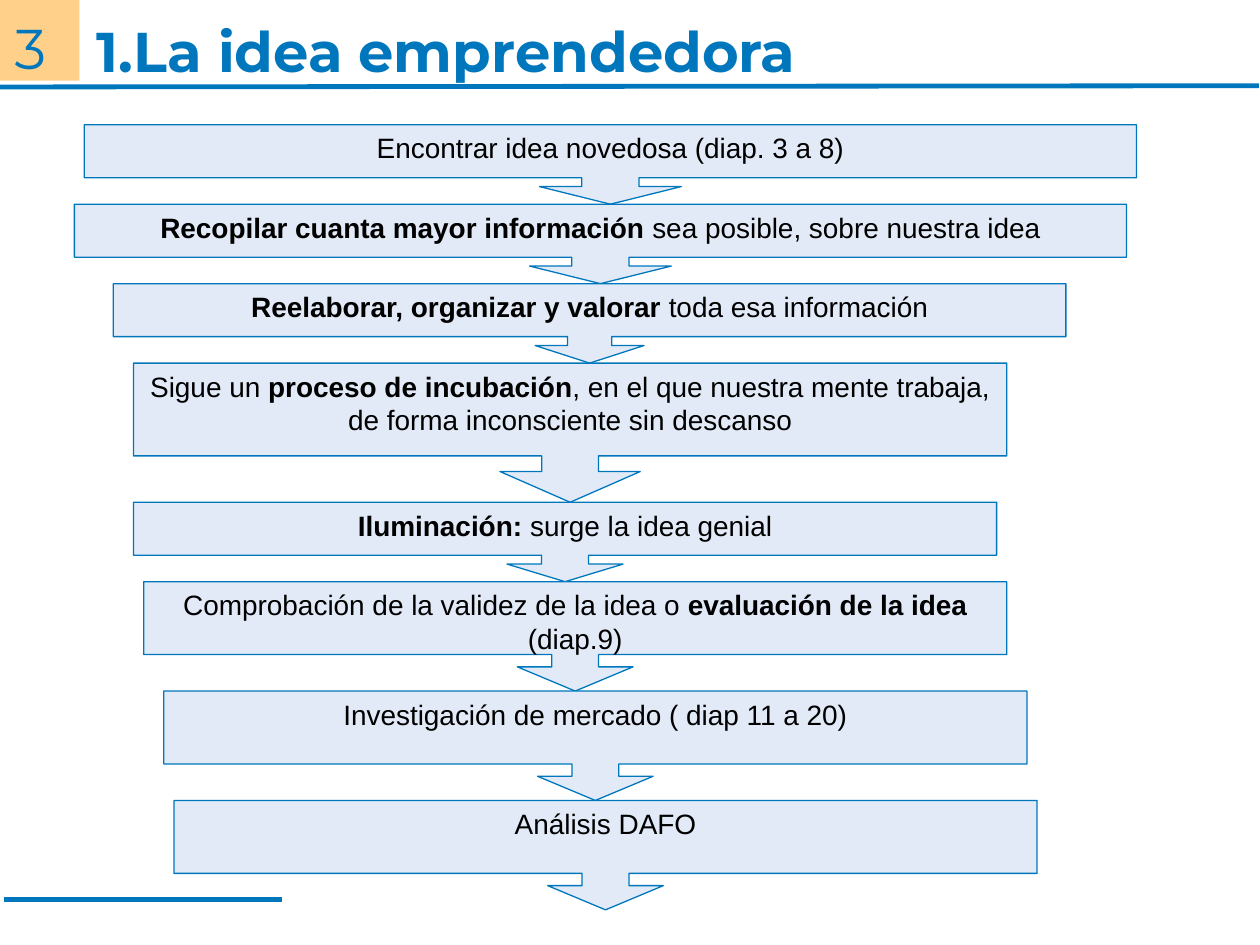
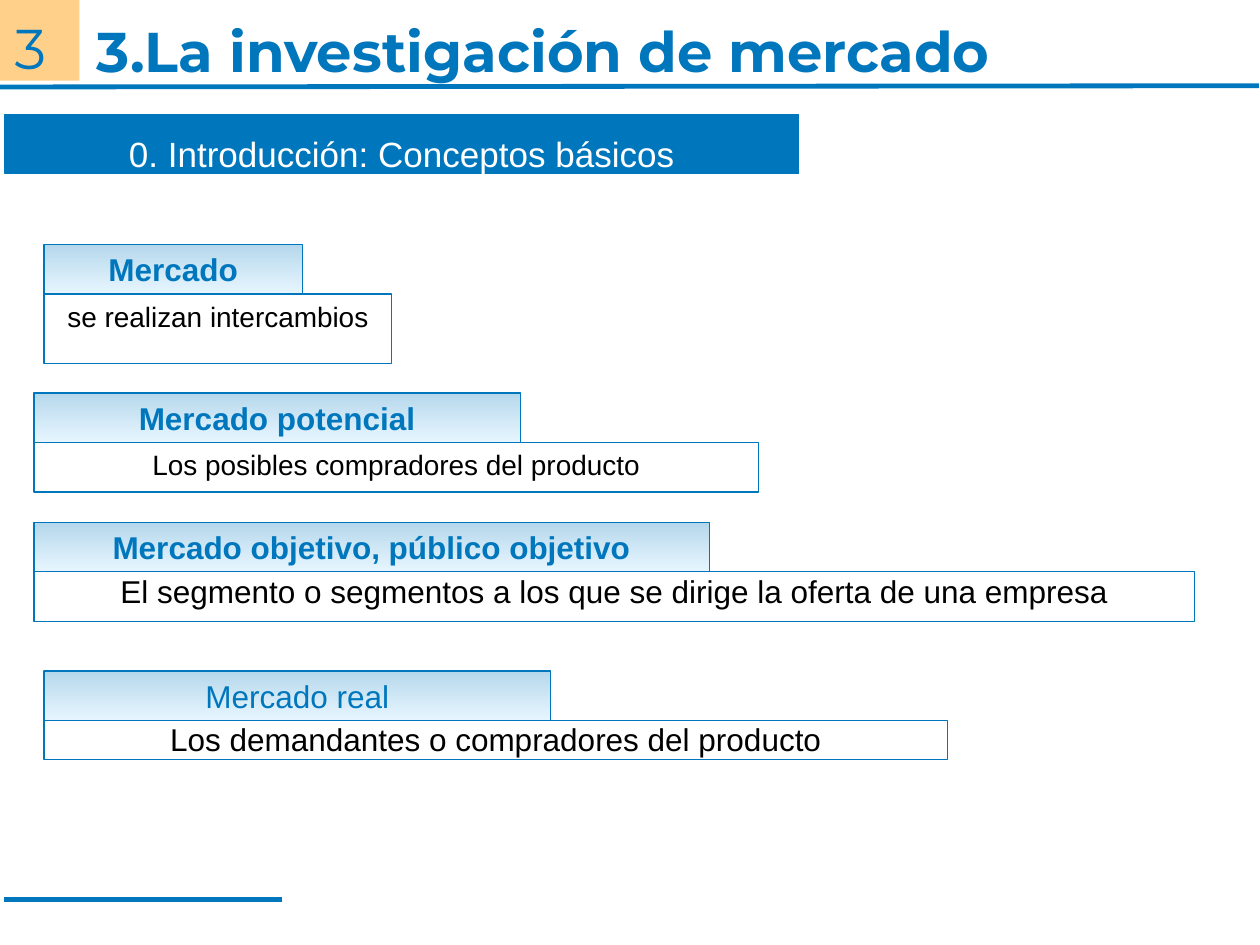
"""Build two slides on the business idea and market research."""
from lxml.etree import SubElement
from pptx import Presentation
from pptx.dml.color import RGBColor
from pptx.enum.shapes import MSO_CONNECTOR, MSO_SHAPE
from pptx.enum.text import MSO_ANCHOR, MSO_AUTO_SIZE, PP_ALIGN
from pptx.oxml.ns import qn
from pptx.util import Pt

BLUE = RGBColor(0x00, 0x77, 0xBD)
SKY = RGBColor(0xA1, 0xDB, 0xFF)
PALE = RGBColor(0xE2, 0xEA, 0xF7)
ORANGE = RGBColor(0xFF, 0x99, 0x00)
WHITE = RGBColor(0xFF, 0xFF, 0xFF)
BLACK = RGBColor(0x00, 0x00, 0x00)

BODY_FONT = "Arial"
TITLE_FONT = "Montserrat"
LABEL_HEIGHT = 28.3
HEAD_TO_SHAFT = 1.236

STEPS = [
    (48.2, 601.2, 45.4, 0.722, "Encontrar idea novedosa (diap. 3 a 8)"),
    (42.5, 601.2, 45.4, 0.722,
     "*Recopilar cuanta mayor información* sea posible, sobre nuestra idea"),
    (64.8, 544.3, 45.4, 0.555,
     "*Reelaborar, organizar y valorar* toda esa información"),
    (76.3, 499, 79.5, 0.408,
     "Sigue un *proceso de incubación*, en el que nuestra mente trabaja, "
     "de forma inconsciente sin descanso"),
    (76.3, 493.2, 45.4, 0.591, "*Iluminación:* surge la idea genial"),
    (82.1, 493.2, 62.5, 0.428,
     "Comprobación de la validez de la idea o *evaluación de la idea* (diap.9)"),
    (93.6, 493.2, 62.5, 0.428, "Investigación de mercado ( diap 11 a 20)"),
    (99.4, 493.2, 62.5, 0.428, "Análisis DAFO"),
]

CONCEPTS = [
    (25.2, 139.7, 147.6, "*Mercado*",
     198.7, 39.6, 16, 2.9, "se realizan intercambios"),
    (19.4, 224.6, 277.9, "*Mercado potencial*",
     414, 28.3, 16, 2.9, "Los posibles compradores del producto"),
    (19.4, 298.4, 385.9, "*Mercado objetivo, público objetivo*",
     663.1, 28.3, 18, 0,
     "El segmento o segmentos a los que se dirige la oferta de una empresa"),
    (25.2, 383.4, 289.4, "Mercado real",
     516.2, 22.3, 18, 0, "Los demandantes o compradores del producto"),
]


def add_box(slide, kind, left, top, width, height):
    """Add an unfilled shape with a thin blue outline."""
    sp = slide.shapes.add_shape(kind, Pt(left), Pt(top), Pt(width), Pt(height))
    sp.shadow.inherit = False
    sp.fill.background()
    sp.line.color.rgb = BLUE
    sp.line.width = Pt(0.75)
    return sp


def fill_solid(sp, color):
    """Fill a shape with one colour."""
    sp.fill.solid()
    sp.fill.fore_color.rgb = color


def set_fill_alpha(sp, *percents):
    """Set the opacity of each fill colour in turn."""
    fill = sp._element.spPr.find(qn("a:gradFill"))
    if fill is None:
        fill = sp._element.spPr.find(qn("a:solidFill"))
    for color, percent in zip(fill.iter(qn("a:srgbClr")), percents):
        SubElement(color, qn("a:alpha")).set("val", str(percent * 1000))


def style_font(font, name, size, color, bold=None):
    """Set the face, size, colour and weight of a font."""
    font.name = name
    font.size = Pt(size)
    font.color.rgb = color
    font.bold = bold


def set_text(sp, text, size, color, anchor=MSO_ANCHOR.TOP, inset_y=3.6):
    """Write centred text in which asterisks enclose bold words."""
    tf = sp.text_frame
    tf.word_wrap = True
    tf.vertical_anchor = anchor
    tf.margin_top = tf.margin_bottom = Pt(inset_y)
    p = tf.paragraphs[0]
    p.alignment = PP_ALIGN.CENTER
    style_font(p.font, BODY_FONT, size, color)
    for i, part in enumerate(text.split("*")):
        if part:
            r = p.add_run()
            r.text = part
            r.font.bold = i % 2 == 1
    return p


def add_rule(slide, x1, y1, x2, y2):
    """Add a thick blue line."""
    line = slide.shapes.add_connector(
        MSO_CONNECTOR.STRAIGHT, Pt(x1), Pt(y1), Pt(x2), Pt(y2))
    line.line.color.rgb = BLUE
    line.line.width = Pt(2.75)
    SubElement(line._element.spPr, qn("a:effectLst"))
    return line


def add_unit_badge(slide):
    """Add the orange square with the unit number."""
    sp = add_box(slide, MSO_SHAPE.RECTANGLE, 0, 0, 45.4, 46.1)
    fill_solid(sp, ORANGE)
    set_fill_alpha(sp, 46)
    sp.line.fill.background()
    tf = sp.text_frame
    tf.vertical_anchor = MSO_ANCHOR.TOP
    tf.margin_left = Pt(8.4)
    tf.margin_right = tf.margin_top = tf.margin_bottom = 0
    p = tf.paragraphs[0]
    p.text = "3"
    p.alignment = PP_ALIGN.LEFT
    p.line_spacing = 1.2
    style_font(p.font, TITLE_FONT, 32, BLUE)
    return sp


def move_frame_to_layout(slide):
    """Draw the shared rules and badge and hand them to the layout."""
    frame = [add_rule(slide, -0.7, 49.7, 719.3, 49),
             add_unit_badge(slide),
             add_rule(slide, 2.2, 514.1, 161.3, 514.1)]
    for sp in frame:
        slide.slide_layout.shapes._spTree.append(sp._element)


def set_title(slide, text):
    """Place and format the slide title."""
    title = slide.shapes.title
    title.left, title.top, title.width, title.height = (
        Pt(48.2), Pt(15.1), Pt(595.4), Pt(27.4))
    tf = title.text_frame
    tf.auto_size = MSO_AUTO_SIZE.NONE
    tf.vertical_anchor = MSO_ANCHOR.MIDDLE
    p = tf.paragraphs[0]
    p.text = text
    p.alignment = PP_ALIGN.LEFT
    style_font(p.font, TITLE_FONT, 32, BLUE, True)


def add_steps(slide, top):
    """Stack the callouts that lead from one step to the next."""
    for left, width, height, shaft, text in STEPS:
        sp = add_box(slide, MSO_SHAPE.DOWN_ARROW_CALLOUT,
                     left, top, width, height)
        fill_solid(sp, PALE)
        for i, value in enumerate((shaft, shaft * HEAD_TO_SHAFT, 0.221, 0.667)):
            sp.adjustments[i] = value
        set_text(sp, text, 16, BLACK)
        top += height


def add_section_band(slide, text):
    """Add the blue band that names the section."""
    sp = add_box(slide, MSO_SHAPE.RECTANGLE, 2.9, 65.5, 453.6, 33.8)
    fill_solid(sp, BLUE)
    p = set_text(sp, text, 20, WHITE, MSO_ANCHOR.MIDDLE)
    p.line_spacing = 1.45


def add_label(slide, left, top, width, text):
    """Add a gradient label for a concept."""
    sp = add_box(slide, MSO_SHAPE.FLOWCHART_PROCESS,
                 left, top, width, LABEL_HEIGHT)
    sp.fill.gradient()
    sp.fill.gradient_angle = 270
    for stop, color in zip(sp.fill.gradient_stops, (BLUE, SKY)):
        stop.color.rgb = color
    set_fill_alpha(sp, 30, 25)
    set_text(sp, text, 18, BLUE, MSO_ANCHOR.MIDDLE)


def add_definition(slide, left, top, width, height, size, inset_y, text):
    """Add the outlined box that explains a concept."""
    sp = add_box(slide, MSO_SHAPE.FLOWCHART_PROCESS, left, top, width, height)
    sp.text_frame.margin_left = sp.text_frame.margin_right = Pt(5.8)
    set_text(sp, text, size, BLACK, inset_y=inset_y)


def main():
    """Build and save the presentation."""
    prs = Presentation()
    prs.slide_width, prs.slide_height = Pt(720), Pt(540)
    layout = prs.slide_layouts[5]

    s = prs.slides.add_slide(layout)
    move_frame_to_layout(s)
    set_title(s, "1.La idea emprendedora")
    add_steps(s, 71.3)

    s = prs.slides.add_slide(layout)
    set_title(s, "3.La investigación de mercado")
    add_section_band(s, "0. Introducción: Conceptos básicos")
    for left, top, label_width, label, *definition in CONCEPTS:
        add_label(s, left, top, label_width, label)
        add_definition(s, left, top + LABEL_HEIGHT, *definition)

    prs.save("out.pptx")


if __name__ == "__main__":
    main()
